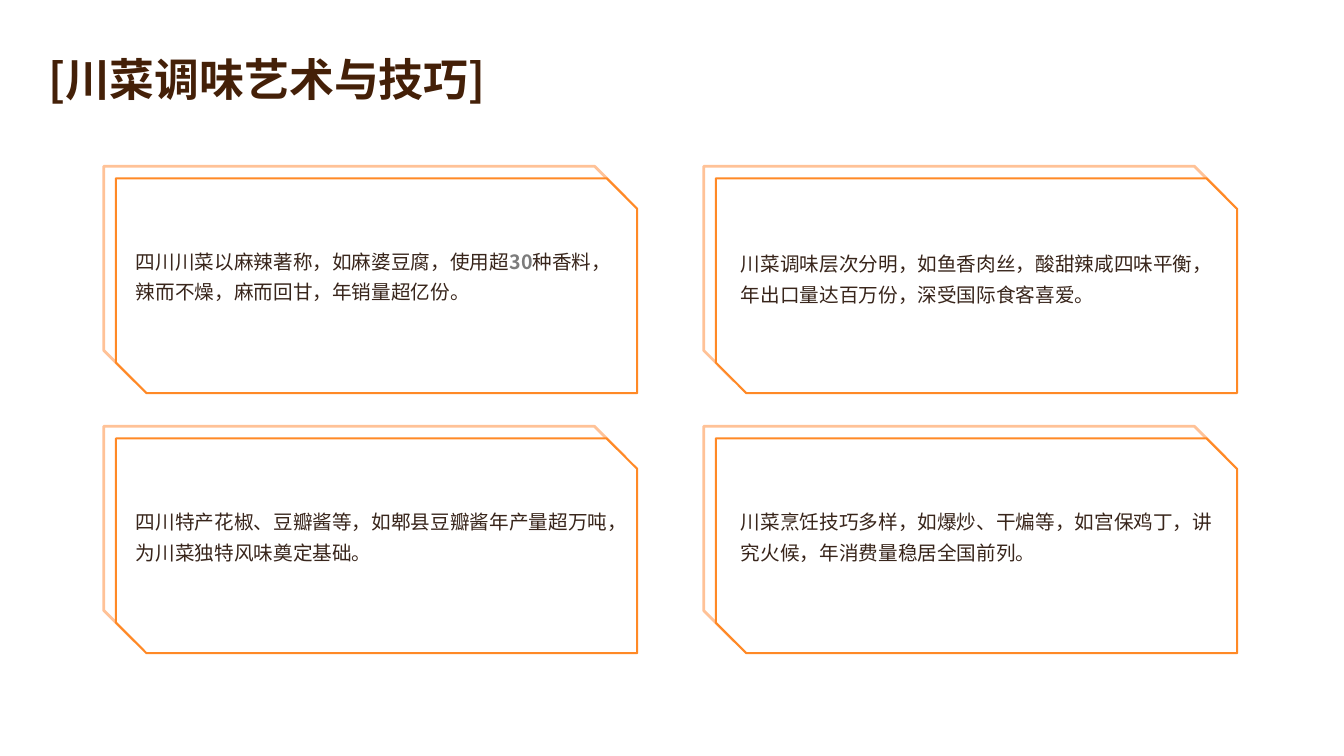
import lxml.etree
import pptx
import pptx.dml.color
import pptx.enum.shapes
import pptx.enum.text
import pptx.oxml.ns
import pptx.util

WIDTH, HEIGHT = 13.33, 7.5
FONT = "Noto Sans CJK SC"
INK = {"title": "442008", "body": "38251B", "figure": "7C7C7C"}
ORANGE, PALE_ORANGE, WHITE = "FF8926", "FFC297", "FFFFFF"
FORMATS = {
    "title": {"size": pptx.util.Pt(32), "bold": True, "name": FONT},
    "body": {"size": pptx.util.Pt(14), "bold": False, "name": FONT},
    "figure": {"size": pptx.util.Pt(14), "bold": True, "name": FONT},
}
SPACING = {
    "title": {"line_spacing": 1.2},
    "body": {"line_spacing": 1.3, "space_after": pptx.util.Pt(1.5)},
}
TOP = pptx.enum.text.MSO_ANCHOR.TOP
MIDDLE = pptx.enum.text.MSO_ANCHOR.MIDDLE

CARD_LEFT, CARD_TOP = 1.03, 1.65
COLUMN_STEP, ROW_STEP = 5.95, 2.58
CARD_WIDTH, CARD_HEIGHT = 5.17, 2.13
FRAME_OFFSET = 0.12
TEXT_WIDTH = 4.91

CARDS = [
    {"inset": 0.1, "drop": 0.59,
     "body": [("四川川菜以麻辣著称，如麻婆豆腐，使用超", "body"), ("30", "figure"),
              ("种香料，辣而不燥，麻而回甘，年销量超亿份。", "body")]},
    {"inset": 0.15, "drop": 0.61,
     "body": [("川菜调味层次分明，如鱼香肉丝，酸甜辣咸四味平衡，年出口量达百万份，深受国际食客喜爱。", "body")]},
    {"inset": 0.1, "drop": 0.59,
     "body": [("四川特产花椒、豆瓣酱等，如郫县豆瓣酱年产量超万吨，为川菜独特风味奠定基础。", "body")]},
    {"inset": 0.15, "drop": 0.59,
     "body": [("川菜烹饪技巧多样，如爆炒、干煸等，如宫保鸡丁，讲究火候，年消费量稳居全国前列。", "body")]},
]


def color(hex_value):
    return pptx.dml.color.RGBColor.from_string(hex_value)


def inches(box):
    return [pptx.util.Inches(length) for length in box]


def apply(target, values):
    for key, value in values.items():
        setattr(target, key, value)


def add_text(slide, box, runs, style, anchor):
    frame = slide.shapes.add_textbox(*inches(box)).text_frame
    apply(frame, {"word_wrap": True, "vertical_anchor": anchor})
    paragraph = frame.paragraphs[0]
    apply(paragraph, SPACING[style])
    for words, kind in runs:
        run = paragraph.add_run()
        run.text = words
        apply(run.font, FORMATS[kind])
        run.font.color.rgb = color(INK[kind])
        east_asian = lxml.etree.SubElement(run.font._element, pptx.oxml.ns.qn("a:ea"))
        east_asian.set("typeface", FONT)


def add_frame(slide, box, line, weight, fill=None):
    frame = slide.shapes.add_shape(
        pptx.enum.shapes.MSO_SHAPE.SNIP_2_DIAG_RECTANGLE, *inches(box))
    frame.adjustments[0] = 0
    frame.adjustments[1] = 0.142
    frame.shadow.inherit = False
    frame.line.color.rgb = color(line)
    frame.line.width = pptx.util.Pt(weight)
    if fill:
        frame.fill.solid()
        frame.fill.fore_color.rgb = color(fill)
    else:
        frame.fill.background()


def add_card(slide, box, card):
    left, top, width, height = box
    front_left, front_top = left + FRAME_OFFSET, top + FRAME_OFFSET
    add_frame(slide, box, PALE_ORANGE, 2)
    add_frame(slide, (front_left, front_top, width, height), ORANGE, 1.5, WHITE)
    text_left, text_top = front_left + card["inset"], front_top + card["drop"]
    add_text(slide, (text_left, text_top, TEXT_WIDTH, front_top + height - text_top - 0.1),
             card["body"], "body", TOP)


def add_cards(slide, left, top):
    for index, card in enumerate(CARDS):
        row, column = divmod(index, 2)
        add_card(slide, (left + column * COLUMN_STEP, top + row * ROW_STEP,
                         CARD_WIDTH, CARD_HEIGHT), card)


def main():
    presentation = pptx.Presentation()
    presentation.slide_width, presentation.slide_height = inches((WIDTH, HEIGHT))
    slide = presentation.slides.add_slide(presentation.slide_layouts[6])
    add_cards(slide, CARD_LEFT, CARD_TOP)
    add_text(slide, (0.38, 0.33, 12.57, 0.79),
             [("[川菜调味艺术与技巧]", "title")], "title", MIDDLE)
    presentation.save("out.pptx")


if __name__ == "__main__":
    main()
